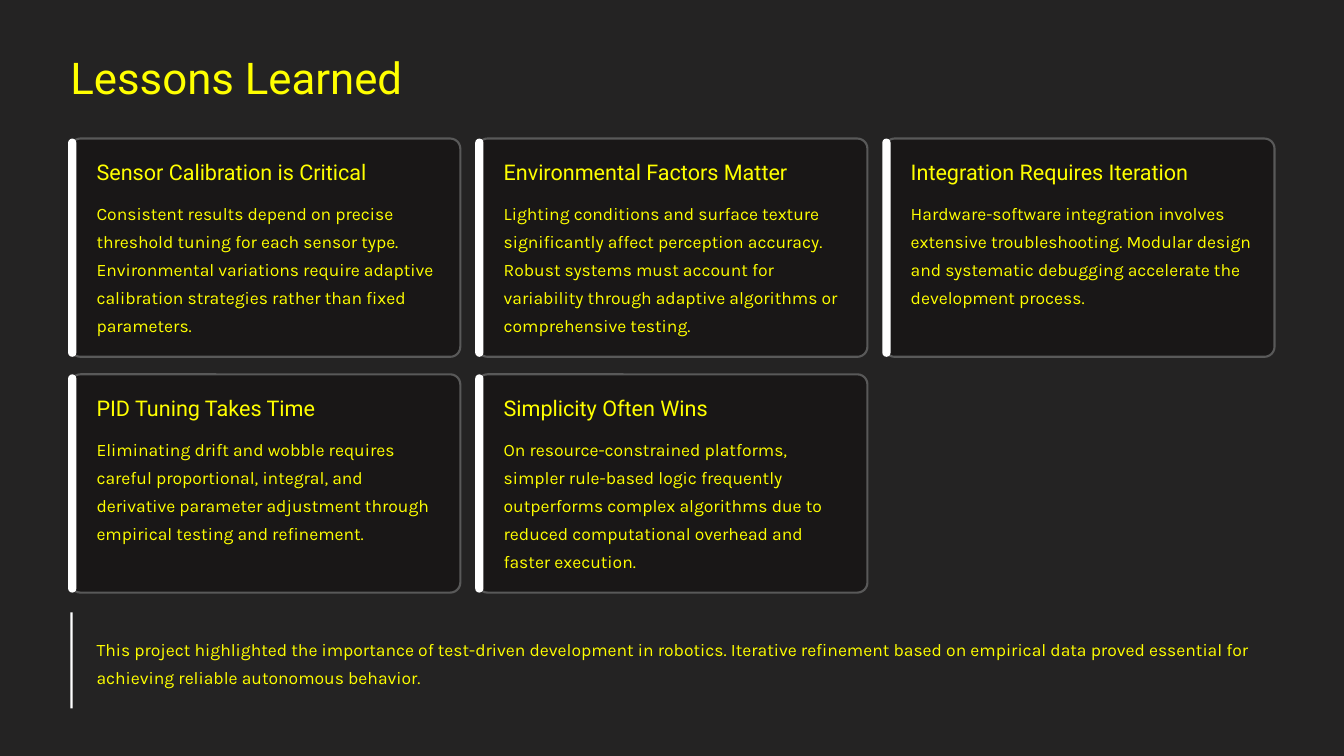
from dataclasses import dataclass

from pptx import Presentation
from pptx.dml.color import RGBColor
from pptx.enum.shapes import MSO_SHAPE as Preset
from pptx.enum.text import MSO_ANCHOR as Anchor, MSO_AUTO_SIZE as AutoSize, PP_ALIGN as Align
from pptx.util import Cm, Pt


@dataclass(frozen=True)
class Theme:
    background: str = "242323"
    card: str = "191717"
    border: str = "595959"
    accent: str = "FFFFFF"
    text: str = "FFFF00"
    heading_font: str = "Roboto"
    body_font: str = "Karla"
    title_size: float = 37.5
    heading_size: float = 18.5
    body_size: float = 15


THEME = Theme()
TITLE_FORMAT = dict(font=THEME.heading_font, size=THEME.title_size, spacing=47)
HEADING_FORMAT = dict(font=THEME.heading_font, size=THEME.heading_size, spacing=23.5)
BODY_FORMAT = dict(font=THEME.body_font, size=THEME.body_size, spacing=24)

MARGIN = 2.13
INDENT = 0.79
PADDING = 0.58
COLUMNS = 3
CARD_WIDTH, CARD_HEIGHT = 11.79, 6.6
COLUMN_STEP, ROW_STEP = 12.31, 7.13
CARDS_TOP = 4.19

LESSONS = [
    ("Sensor Calibration is Critical",
     "Consistent results depend on precise threshold tuning for each sensor type. "
     "Environmental variations require adaptive calibration strategies rather than "
     "fixed parameters."),
    ("Environmental Factors Matter",
     "Lighting conditions and surface texture significantly affect perception accuracy. "
     "Robust systems must account for variability through adaptive algorithms or "
     "comprehensive testing."),
    ("Integration Requires Iteration",
     "Hardware-software integration involves extensive troubleshooting. Modular design "
     "and systematic debugging accelerate the development process."),
    ("PID Tuning Takes Time",
     "Eliminating drift and wobble requires careful proportional, integral, and "
     "derivative parameter adjustment through empirical testing and refinement."),
    ("Simplicity Often Wins",
     "On resource-constrained platforms, simpler rule-based logic frequently outperforms "
     "complex algorithms due to reduced computational overhead and faster execution."),
]
CONCLUSION = (
    "This project highlighted the importance of test-driven development in robotics. "
    "Iterative refinement based on empirical data proved essential for achieving "
    "reliable autonomous behavior."
)


def color(value):
    return RGBColor.from_string(value)


def write_text(shape, text, *, font, size, spacing):
    frame = shape.text_frame
    frame.margin_left = frame.margin_right = frame.margin_top = frame.margin_bottom = 0
    frame.auto_size = AutoSize.NONE
    frame.word_wrap = True
    frame.vertical_anchor = Anchor.TOP
    paragraph = frame.paragraphs[0]
    paragraph.text = text
    paragraph.alignment = Align.LEFT
    paragraph.line_spacing = Pt(spacing)
    paragraph.font.name = font
    paragraph.font.size = Pt(size)
    paragraph.font.color.rgb = color(THEME.text)


def add_text(slide, box, text, **text_format):
    write_text(slide.shapes.add_textbox(*map(Cm, box)), text, **text_format)


def add_block(slide, box, fill, preset=Preset.RECTANGLE, radius=None, border=None):
    shape = slide.shapes.add_shape(preset, *map(Cm, box))
    shape.shadow.inherit = False
    shape.fill.solid()
    shape.fill.fore_color.rgb = color(fill)
    if radius is not None:
        shape.adjustments[0] = radius
    if border:
        shape.line.color.rgb = color(border)
        shape.line.width = Pt(1.8)
    else:
        shape.line.fill.background()


def add_title(slide, box, text):
    title = slide.shapes.title
    title.left, title.top, title.width, title.height = map(Cm, box)
    write_text(title, text, **TITLE_FORMAT)


def add_card(slide, box, heading, body):
    left, top, width, height = box
    add_block(slide, box, THEME.card, Preset.ROUNDED_RECTANGLE, 0.046, THEME.border)
    add_block(slide, (left - 0.07, top, 0.25, height), THEME.accent,
              Preset.ROUNDED_RECTANGLE, 0.5)
    text_left, text_width = left + INDENT, width - INDENT - 0.61
    add_text(slide, (text_left, top + PADDING, text_width, 0.84), heading, **HEADING_FORMAT)
    add_text(slide, (text_left, top + 1.74, text_width, 4.27), body, **BODY_FORMAT)


def add_card_grid(slide, left, top, lessons):
    for index, (heading, body) in enumerate(lessons):
        row, column = divmod(index, COLUMNS)
        box = (left + column * COLUMN_STEP, top + row * ROW_STEP, CARD_WIDTH, CARD_HEIGHT)
        add_card(slide, box, heading, body)


def add_conclusion(slide, box, text):
    left, top, width, height = box
    add_text(slide, (left + INDENT, top + PADDING, width - INDENT, height - 2 * PADDING),
             text, **BODY_FORMAT)
    add_block(slide, (left, top, 0.07, height), THEME.accent)


def main():
    presentation = Presentation()
    presentation.slide_width, presentation.slide_height = Cm(40.64), Cm(22.86)
    slide = presentation.slides.add_slide(presentation.slide_layouts[5])
    slide.background.fill.solid()
    slide.background.fill.fore_color.rgb = color(THEME.background)

    add_title(slide, (MARGIN, 1.47, 13.31, 1.65), "Lessons Learned")
    add_card_grid(slide, MARGIN, CARDS_TOP, LESSONS)
    add_conclusion(slide, (MARGIN, 18.52, 36.38, 2.9), CONCLUSION)
    presentation.save("out.pptx")


if __name__ == "__main__":
    main()
